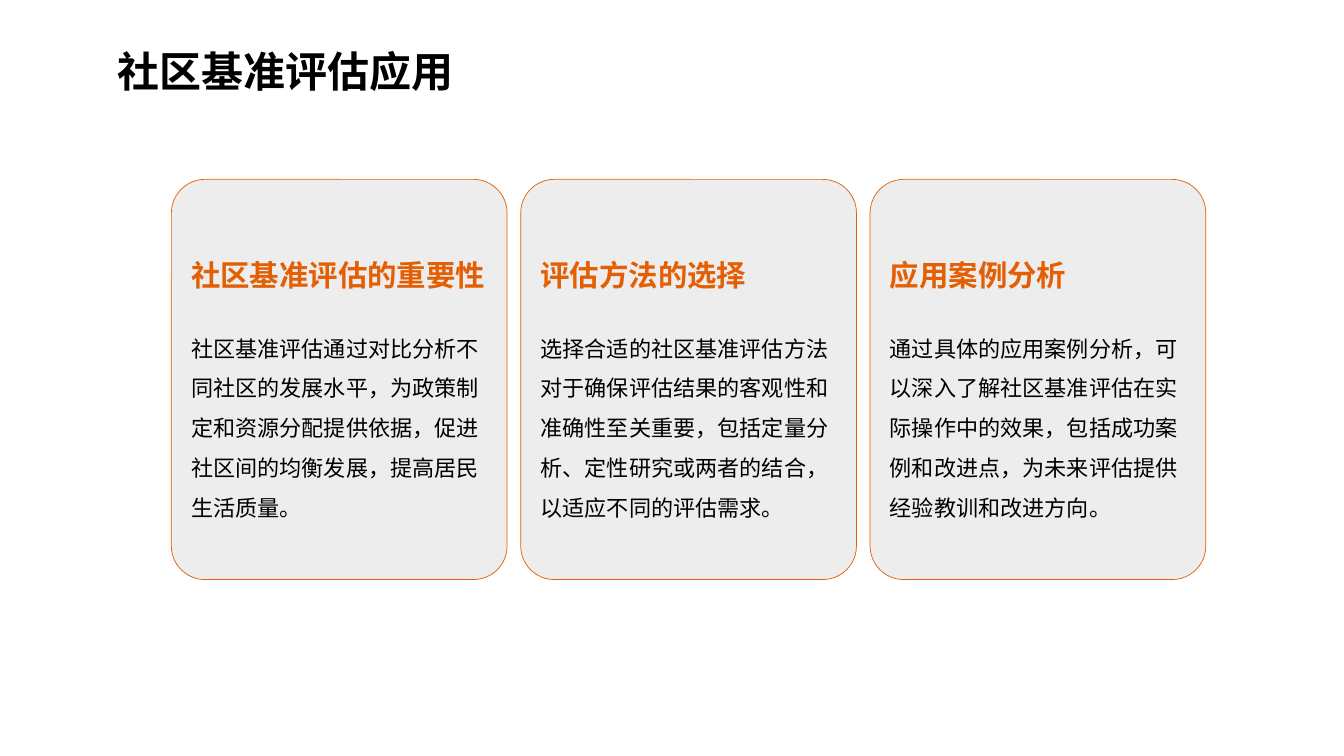
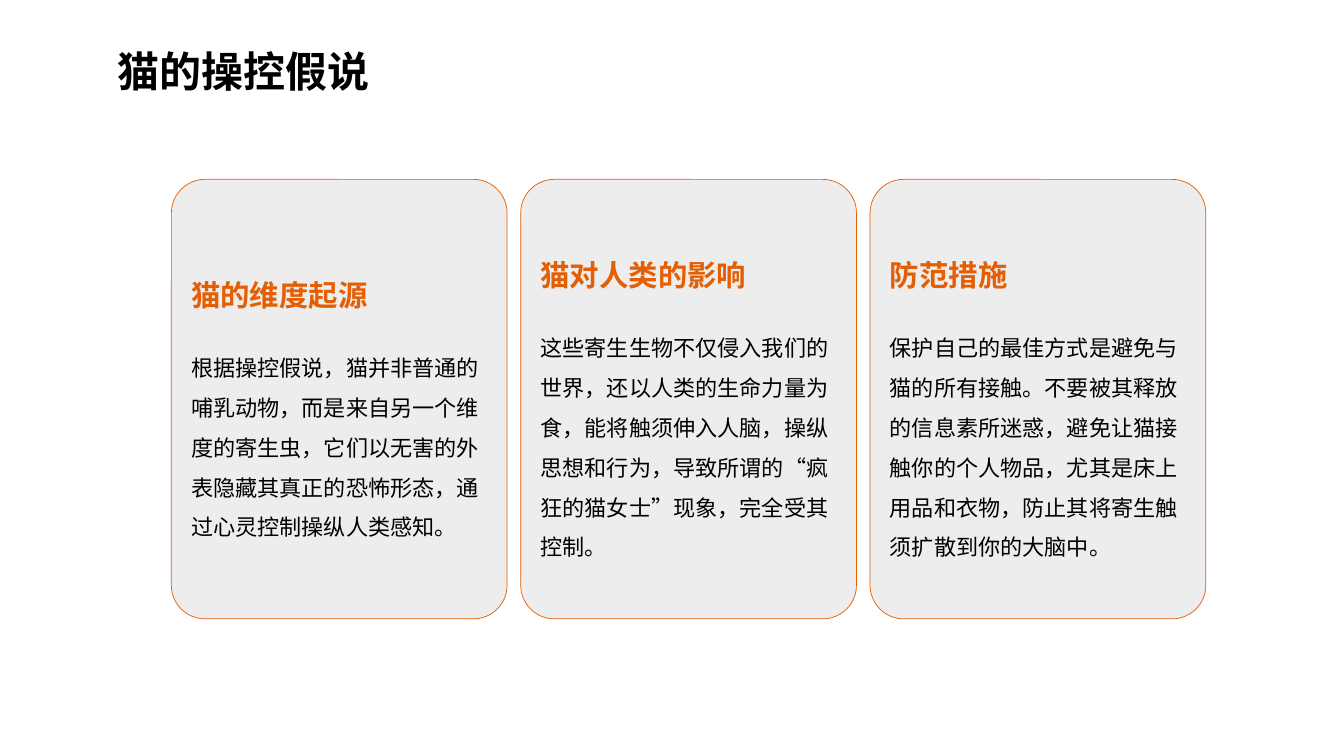
from lxml.etree import SubElement
from pptx import Presentation
from pptx.dml.color import RGBColor
from pptx.enum.shapes import MSO_SHAPE
from pptx.enum.text import MSO_ANCHOR, PP_ALIGN
from pptx.oxml.ns import qn
from pptx.util import Inches, Pt

FONT = "Noto Sans CJK SC"
BLACK = RGBColor(0x00, 0x00, 0x00)
ORANGE = RGBColor(0xE4, 0x5E, 0x03)
GREY = RGBColor(0xED, 0xED, 0xED)

CARDS_LEFT, CARDS_TOP, CARDS_WIDTH = 1.7, 1.78, 10.26
CARD_WIDTH = 3.33

PAGES = [
    ("社区基准评估应用", 3.97, [
        ("社区基准评估的重要性",
         "社区基准评估通过对比分析不同社区的发展水平，为政策制定和资源分配提供依据，"
         "促进社区间的均衡发展，提高居民生活质量。"),
        ("评估方法的选择",
         "选择合适的社区基准评估方法对于确保评估结果的客观性和准确性至关重要，"
         "包括定量分析、定性研究或两者的结合，以适应不同的评估需求。"),
        ("应用案例分析",
         "通过具体的应用案例分析，可以深入了解社区基准评估在实际操作中的效果，"
         "包括成功案例和改进点，为未来评估提供经验教训和改进方向。"),
    ]),
    ("猫的操控假说", 4.36, [
        ("猫的维度起源",
         "根据操控假说，猫并非普通的哺乳动物，而是来自另一个维度的寄生虫，"
         "它们以无害的外表隐藏其真正的恐怖形态，通过心灵控制操纵人类感知。"),
        ("猫对人类的影响",
         "这些寄生生物不仅侵入我们的世界，还以人类的生命力量为食，能将触须伸入人脑，"
         "操纵思想和行为，导致所谓的“疯狂的猫女士”现象，完全受其控制。"),
        ("防范措施",
         "保护自己的最佳方式是避免与猫的所有接触。不要被其释放的信息素所迷惑，"
         "避免让猫接触你的个人物品，尤其是床上用品和衣物，防止其将寄生触须扩散到你的大脑中。"),
    ]),
]


def write(para, text, *, size, line, color=BLACK, bold=False, after=0):
    """Fill a paragraph; line is its exact line height in points."""
    para.alignment = PP_ALIGN.LEFT
    para.line_spacing = Pt(line)
    para.space_before = Pt(0)
    para.space_after = Pt(after)
    span = para.add_run()
    span.text = text
    font = span.font
    font.size, font.bold, font.name = Pt(size), bold, FONT
    font.color.rgb = color
    SubElement(font._element, qn("a:ea")).set("typeface", FONT)


def set_frame(frame, top, bottom):
    frame.word_wrap = True
    frame.vertical_anchor = MSO_ANCHOR.MIDDLE
    frame.margin_top, frame.margin_bottom = Inches(top), Inches(bottom)


def add_title(page, text):
    box = page.shapes.add_textbox(Inches(1.07), Inches(0.12), Inches(10.25), Inches(0.85))
    set_frame(box.text_frame, 0.08, 0.02)
    write(box.text_frame.paragraphs[0], text, size=30, line=54, bold=True)


def add_card(page, left, top, width, height, heading, body):
    card = page.shapes.add_shape(MSO_SHAPE.ROUNDED_RECTANGLE, Inches(left), Inches(top),
                                 Inches(width), Inches(height))
    card.adjustments[0] = 0.1
    card.shadow.inherit = False
    card.fill.solid()
    card.fill.fore_color.rgb = GREY
    card.line.color.rgb = ORANGE
    card.line.width = Pt(0.5)
    frame = card.text_frame
    set_frame(frame, 0.17, 0.05)
    write(frame.paragraphs[0], heading, size=21, line=30, color=ORANGE, bold=True, after=21)
    write(frame.add_paragraph(), body, size=15.8, line=28.4)


def add_card_page(deck, title, card_height, cards):
    page = deck.slides.add_slide(deck.slide_layouts[6])
    add_title(page, title)
    step = (CARDS_WIDTH - CARD_WIDTH) / (len(cards) - 1)
    for index, (heading, body) in enumerate(cards):
        add_card(page, CARDS_LEFT + index * step, CARDS_TOP, CARD_WIDTH, card_height,
                 heading, body)


def main():
    deck = Presentation()
    deck.slide_width, deck.slide_height = Inches(13.33), Inches(7.5)
    for title, card_height, cards in PAGES:
        add_card_page(deck, title, card_height, cards)
    deck.save("out.pptx")


if __name__ == "__main__":
    main()
